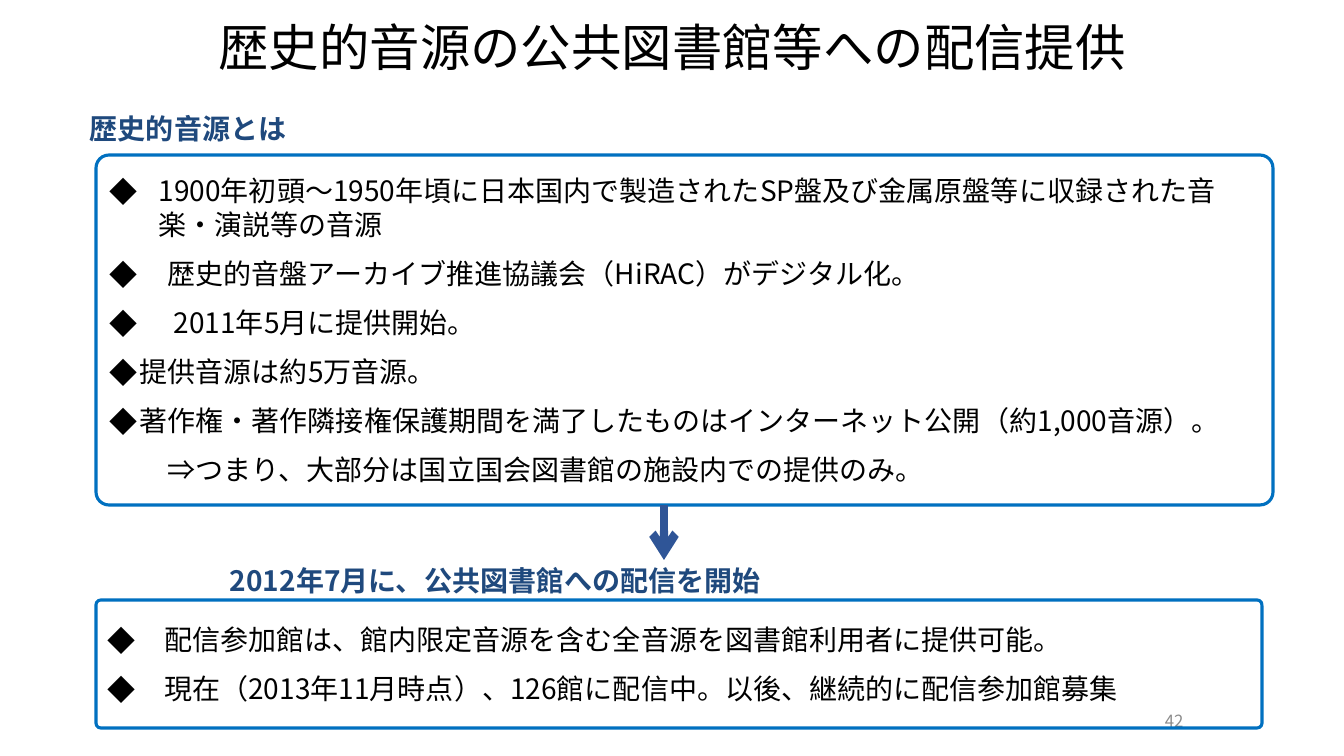
"""Build the slide on delivering historical sound recordings to public libraries."""
from pptx import Presentation
from pptx.dml.color import RGBColor as Rgb
from pptx.enum.shapes import MSO_CONNECTOR as Link, MSO_SHAPE as Shape
from pptx.enum.text import MSO_ANCHOR as Anchor, PP_ALIGN as Align
from pptx.oxml.ns import qn
from pptx.util import Emu, Pt
from lxml.etree import SubElement as Sub

FONT = "Noto Sans CJK JP"
HUES = {"text": "000000", "head": "1F497D", "edge": "0070C0", "arrow": "2F5597", "page": "8C8C8C"}


def px(n):
    return Emu(round(n * 12192000 / 1344))


def write(par, text, size, hue, bold=False):
    run = par.add_run()
    run.text = text
    for key, val in {"name": FONT, "size": Pt(size), "bold": bold}.items():
        setattr(run.font, key, val)
    run.font.color.rgb = Rgb.from_string(HUES[hue])
    Sub(run.font._element, qn("a:ea"), typeface=FONT)


deck = Presentation()
deck.slide_width, deck.slide_height = px(1344), px(756)
slide = deck.slides.add_slide(deck.slide_layouts[6])
shapes = slide.shapes

page = shapes.add_shape(Shape.OVAL, px(1098), px(696), px(112), px(50))
page.shadow.inherit = False
page.fill.background()
page.line.fill.background()
par = page.text_frame.paragraphs[0]
par.alignment = Align.RIGHT
write(par, "42", 12, "page")

title = shapes.add_textbox(0, 0, px(1344), px(100)).text_frame
title.word_wrap = True
title.vertical_anchor = Anchor.MIDDLE
par = title.paragraphs[0]
par.alignment = Align.CENTER
par.line_spacing = 0.9
write(par, "歴史的音源の公共図書館等への配信提供", 36, "text")

panels = [
    ((96, 155, 1177, 350), [
        (49, "◆", "1900年初頭～1950年頃に日本国内で製造されたSP盤及び金属原盤等に収録された音楽・演説等の音源"),
        (58, "◆", "歴史的音盤アーカイブ推進協議会（HiRAC）がデジタル化。"),
        (64, "◆", "2011年5月に提供開始。"),
        (30, "◆", "提供音源は約5万音源。"),
        (30, "◆", "著作権・著作隣接権保護期間を満了したものはインターネット公開（約1,000音源）。"),
        (58, "", "⇒つまり、大部分は国立国会図書館の施設内での提供のみ。"),
    ]),
    ((96, 600, 1166, 128), [
        (57, "◆", "配信参加館は、館内限定音源を含む全音源を図書館利用者に提供可能。"),
        (57, "◆", "現在（2013年11月時点）、126館に配信中。以後、継続的に配信参加館募集"),
    ]),
]
for place, items in panels:
    box = shapes.add_shape(Shape.ROUNDED_RECTANGLE, *map(px, place))
    box.adjustments[0] = 0.037
    box.shadow.inherit = False
    box.fill.background()
    box.line.color.rgb = Rgb.from_string(HUES["edge"])
    box.line.width = Pt(2.25)
    frame = box.text_frame
    frame.word_wrap = True
    for i, (dent, mark, text) in enumerate(items):
        par = frame.add_paragraph() if i else frame.paragraphs[0]
        par.alignment = Align.LEFT
        par.space_before = Pt(11 if i else 0)
        props = par._p.get_or_add_pPr()
        props.set("marL", str(px(dent)))
        if mark:
            props.set("indent", str(-px(dent)))
            Sub(props, qn("a:buFont"), typeface=FONT)
            Sub(props, qn("a:buChar"), char=mark)
        write(par, text, 20, "text")

heads = [(80, 93, "歴史的音源とは"), (220, 545, "2012年7月に、公共図書館への配信を開始")]
for left, top, text in heads:
    frame = shapes.add_textbox(px(left), px(top), px(635), px(62)).text_frame
    form = {"word_wrap": True, "vertical_anchor": Anchor.BOTTOM, "margin_bottom": px(10)}
    for key, val in form.items():
        setattr(frame, key, val)
    write(frame.paragraphs[0], text, 20, "head", True)

arrow = shapes.add_connector(Link.STRAIGHT, px(664), px(505), px(664), px(560))
arrow.line.color.rgb = Rgb.from_string(HUES["arrow"])
arrow.line.width = Pt(6)
Sub(arrow.line._get_or_add_ln(), qn("a:tailEnd"), type="arrow")
Sub(arrow._element.spPr, qn("a:effectLst"))

deck.save("out.pptx")
